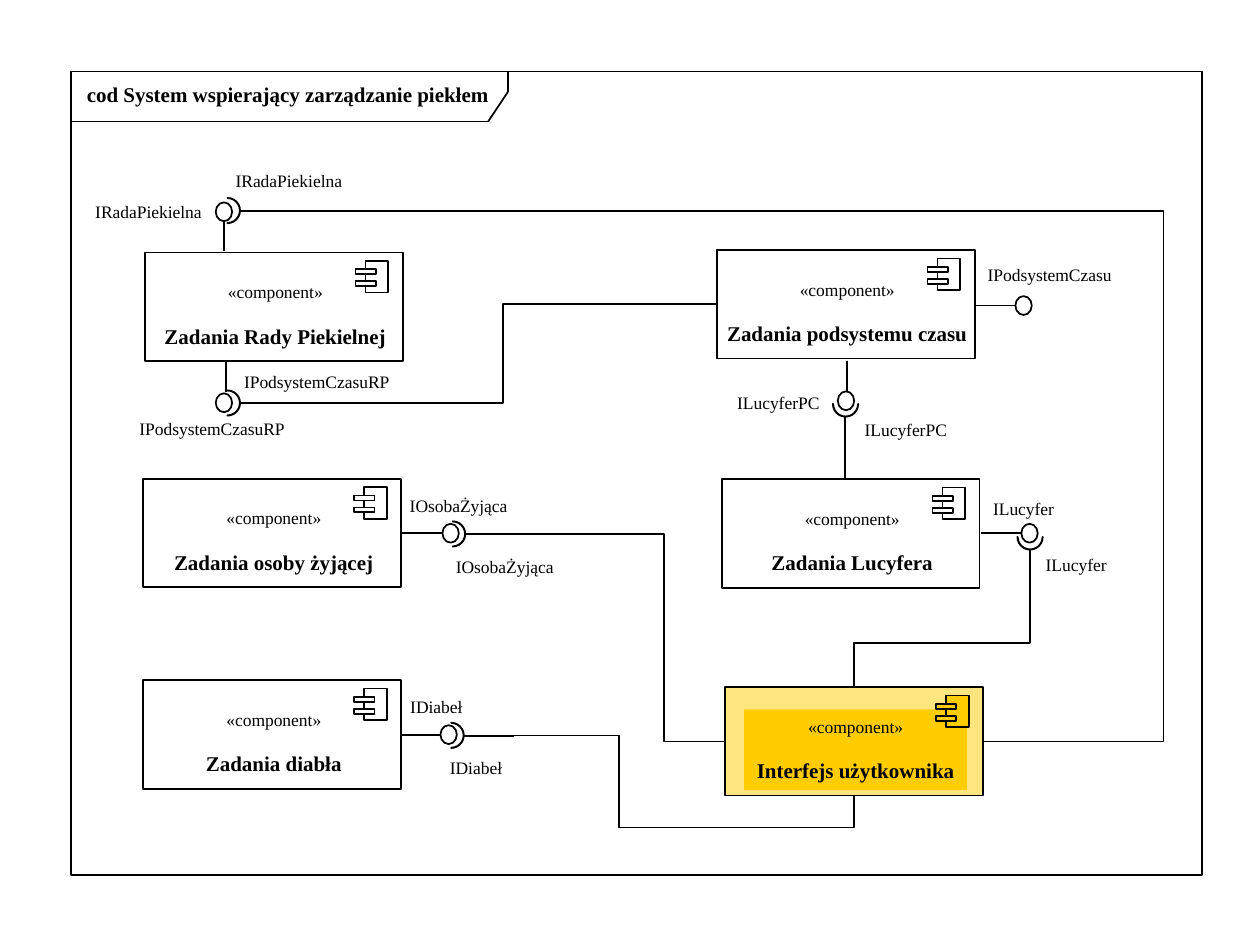
from dataclasses import dataclass

from lxml import etree
from pptx import Presentation
from pptx.dml.color import RGBColor
from pptx.enum.shapes import MSO_CONNECTOR, MSO_SHAPE
from pptx.enum.text import MSO_ANCHOR, MSO_AUTO_SIZE, PP_ALIGN
from pptx.oxml.ns import qn
from pptx.util import Cm, Pt

RECTANGLE, OVAL, ARC = MSO_SHAPE.RECTANGLE, MSO_SHAPE.OVAL, MSO_SHAPE.BLOCK_ARC
STRAIGHT, ELBOW = MSO_CONNECTOR.STRAIGHT, MSO_CONNECTOR.ELBOW
LEFT, CENTER, TOP = PP_ALIGN.LEFT, PP_ALIGN.CENTER, MSO_ANCHOR.TOP
FIT_SHAPE = MSO_AUTO_SIZE.SHAPE_TO_FIT_TEXT
TITLE_ONLY = 5


@dataclass(frozen=True)
class Theme:
    font: str = "Times New Roman"
    ink: RGBColor = RGBColor(0, 0, 0)
    paper: RGBColor = RGBColor(255, 255, 255)
    accent: RGBColor = RGBColor(255, 204, 0)
    heading: Pt = Pt(12)
    label: Pt = Pt(10)
    gap: Pt = Pt(12)
    stroke: Pt = Pt(1)


THEME = Theme()

# All lengths are centimetres.
COMPONENT_SIZE = (5.2, 2.19)
BALL_SIZE = (0.33, 0.38)
SOCKET_SIZE = (0.51, 0.51)
LABEL_HEIGHT = 0.43

# name, left, top, width of the text, highlighted
COMPONENTS = [
    ("Zadania Rady Piekielnej", 2.92, 5.09, 5.05, False),
    ("Zadania osoby żyjącej", 2.89, 9.65, 4.65, False),
    ("Zadania diabła", 2.89, 13.71, 3.35, False),
    ("Interfejs użytkownika", 14.62, 13.85, 4.5, True),
    ("Zadania Lucyfera", 14.55, 9.66, 3.85, False),
    ("Zadania podsystemu czasu", 14.45, 5.04, 5.45, False),
]

# name, label width, label position, ball position, stem start, stem end
PROVIDED = [
    ("IRadaPiekielna", 2.25, (1.92, 4.06), (4.35, 4.08), (4.52, 4.45), (4.52, 5.06)),
    ("IPodsystemCzasuRP", 3.05, (2.81, 8.43), (4.35, 7.93), (4.55, 7.29), (4.55, 7.9)),
    ("IOsobaŻyjąca", 2.08, (8.26, 9.98), (8.92, 10.56), (8.1, 10.75), (8.92, 10.75)),
    ("IDiabeł", 1.17, (8.27, 14.03), (8.88, 14.62), (8.08, 14.81), (8.88, 14.81)),
    ("ILucyfer", 1.35, (20.02, 10.03), (20.59, 10.56), (19.78, 10.75), (20.59, 10.75)),
    ("IPodsystemCzasu", 2.62, (19.91, 5.32), (20.47, 5.97), (19.67, 6.16), (20.47, 6.16)),
    ("ILucyferPC", 1.78, (14.86, 7.9), (16.89, 7.89), (17.07, 7.27), (17.07, 7.88)),
]

# name, label width, label position, socket position, rotation, stem start, stem end
REQUIRED = [
    ("IRadaPiekielna", 2.25, (4.75, 3.43), (4.33, 3.99), 90, (5.84, 4.26), (4.84, 4.26)),
    ("IPodsystemCzasuRP", 3.05, (4.92, 7.47), (4.33, 7.87), 90, (5.84, 8.13), (4.84, 8.13)),
    ("ILucyferPC", 1.78, (17.43, 8.45), (16.79, 7.89), 180, (17.04, 9.65), (17.04, 8.41)),
    ("IDiabeł", 1.17, (9.07, 15.27), (8.84, 14.57), 90, (10.36, 14.83), (9.35, 14.83)),
    ("IOsobaŻyjąca", 2.08, (9.19, 11.2), (8.87, 10.51), 90, (10.39, 10.77), (9.37, 10.77)),
    ("ILucyfer", 1.35, (21.08, 11.17), (20.51, 10.57), 180, (20.77, 12.09), (20.77, 11.07)),
]

# start, end, bend positions as fractions of the run, starts downwards
ROUTES = [
    ((5.84, 8.13), (14.45, 6.13), (0.5,), False),
    ((10.36, 14.83), (17.22, 16.05), (0.31, 1.52), False),
    ((10.39, 10.77), (14.62, 14.95), (0.71,), False),
    ((20.77, 12.09), (17.22, 13.84), (0.5,), True),
    ((5.84, 4.26), (19.82, 14.95), (1.26,), False),
]


def add_outline(slide, kind, position, size, fill=None):
    shape = slide.shapes.add_shape(kind, *map(Cm, position + size))
    shape.shadow.inherit = False
    if fill is None:
        shape.fill.background()
    else:
        shape.fill.solid()
        shape.fill.fore_color.rgb = fill
    shape.line.color.rgb = THEME.ink
    shape.line.width = THEME.stroke
    return shape


def add_line(slide, start, end, kind=STRAIGHT):
    line = slide.shapes.add_connector(kind, *map(Cm, start + end))
    line.line.color.rgb = THEME.ink
    line.line.width = THEME.stroke
    etree.SubElement(line._element.spPr, qn("a:effectLst"))
    return line


def add_route(slide, start, end, bends, downwards):
    """Draw an elbow connector; a downward one is a sideways one turned by 90 degrees."""
    if downwards:
        middle_x, middle_y = (start[0] + end[0]) / 2, (start[1] + end[1]) / 2
        half_width, half_height = abs(end[1] - start[1]) / 2, abs(end[0] - start[0]) / 2
        start = (middle_x - half_width, middle_y - half_height)
        end = (middle_x + half_width, middle_y + half_height)
    properties = add_line(slide, start, end, ELBOW)._element.spPr
    if downwards:
        properties.find(qn("a:xfrm")).set("rot", str(90 * 60000))
    geometry = properties.find(qn("a:prstGeom"))
    geometry.set("prst", f"bentConnector{len(bends) + 2}")
    guides = geometry.find(qn("a:avLst"))
    if guides is None:
        guides = etree.SubElement(geometry, qn("a:avLst"))
    for number, bend in enumerate(bends, 1):
        guide = etree.SubElement(guides, qn("a:gd"))
        guide.set("name", f"adj{number}")
        guide.set("fmla", f"val {round(bend * 100000)}")


def set_frame(frame, horizontal, vertical):
    frame.word_wrap = False
    frame.auto_size = FIT_SHAPE
    frame.vertical_anchor = TOP
    frame.margin_left = frame.margin_right = Cm(horizontal)
    frame.margin_top = frame.margin_bottom = Cm(vertical)


def write(paragraph, text, size, bold=False, alignment=LEFT):
    paragraph.alignment = alignment
    run = paragraph.add_run()
    run.text = text
    run.font.name = THEME.font
    run.font.size = size
    run.font.bold = bold
    run.font.color.rgb = THEME.ink


def add_label(slide, text, position, width):
    box = slide.shapes.add_textbox(*map(Cm, position + (width, LABEL_HEIGHT)))
    set_frame(box.text_frame, 0, 0)
    write(box.text_frame.paragraphs[0], text, THEME.label)


def add_component(slide, name, left, top, text_width, highlighted):
    body_fill = THEME.accent if highlighted else None
    body = add_outline(slide, RECTANGLE, (left, top), COMPONENT_SIZE, body_fill)
    text_left = left + (COMPONENT_SIZE[0] - text_width) / 2 + 0.03
    box = slide.shapes.add_textbox(Cm(text_left), Cm(top + 0.45), Cm(text_width), Cm(1.63))
    if highlighted:
        color = body._element.spPr.find(qn("a:solidFill"))[0]
        etree.SubElement(color, qn("a:alpha")).set("val", "50000")
        box.fill.solid()
        box.fill.fore_color.rgb = THEME.accent
    frame = box.text_frame
    set_frame(frame, 0.25, 0.13)
    write(frame.paragraphs[0], "«component»", THEME.label, alignment=CENTER)
    paragraph = frame.add_paragraph()
    paragraph.space_before = THEME.gap
    write(paragraph, name, THEME.heading, True, CENTER)
    add_outline(slide, RECTANGLE, (left + 4.45, top + 0.17), (0.46, 0.64), body_fill)
    for offset in (0.34, 0.58):
        add_outline(slide, RECTANGLE, (left + 4.25, top + offset), (0.41, 0.1),
                    body_fill or THEME.paper)


def add_diagram_frame(slide):
    add_outline(slide, RECTANGLE, (1.43, 1.44), (22.81, 16.2))
    corners = [(1.43, 2.45), (9.84, 2.45), (10.24, 1.85), (10.24, 1.44)]
    for start, end in zip(corners, corners[1:]):
        add_line(slide, start, end)
    title = slide.shapes.title
    title.left, title.top, title.width, title.height = map(Cm, (1.5, 1.52, 8.85, 0.76))
    set_frame(title.text_frame, 0.25, 0.13)
    write(title.text_frame.paragraphs[0], "cod System wspierający zarządzanie piekłem",
          THEME.heading, True)


def main():
    presentation = Presentation()
    presentation.slide_width, presentation.slide_height = Cm(25.4), Cm(19.05)
    slide = presentation.slides.add_slide(presentation.slide_layouts[TITLE_ONLY])
    add_diagram_frame(slide)
    for component in COMPONENTS:
        add_component(slide, *component)
    for name, width, label, ball, start, end in PROVIDED:
        add_label(slide, name, label, width)
        add_outline(slide, OVAL, ball, BALL_SIZE, THEME.paper)
        add_line(slide, start, end)
    for name, width, label, position, rotation, start, end in REQUIRED:
        add_label(slide, name, label, width)
        socket = add_outline(slide, ARC, position, SOCKET_SIZE, THEME.paper)
        socket.rotation = rotation
        for index, value in enumerate((108, 0, 0.01)):
            socket.adjustments[index] = value
        add_line(slide, start, end)
    for route in ROUTES:
        add_route(slide, *route)
    presentation.save("out.pptx")


if __name__ == "__main__":
    main()
